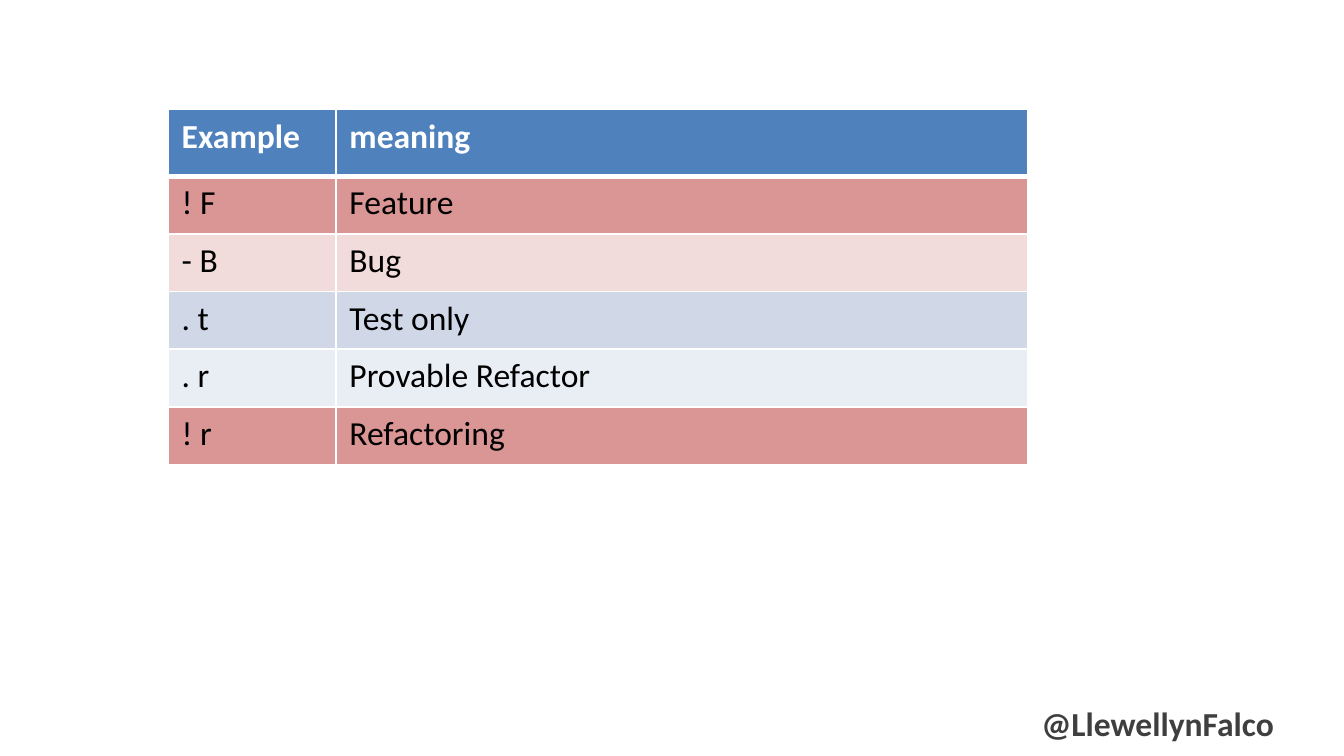
from lxml import etree
from pptx import Presentation
from pptx.dml.color import RGBColor
from pptx.enum import text
from pptx.oxml import ns
from pptx.util import Cm, Pt

FONT = "Calibri"
WHITE, BLACK, GREY = "FFFFFF", "000000", "3F3F3F"
BLUE, RED, PINK = "4F81BD", "D99694", "F2DCDB"
BLUE_TINT, PALE_BLUE = "D0D8E8", "E9EDF4"

# Example, meaning, row fill
NOTATION = [
    ("Example", "meaning", BLUE),
    ("! F", "Feature", RED),
    ("- B", "Bug", PINK),
    (". t", "Test only", BLUE_TINT),
    (". r", "Provable Refactor", PALE_BLUE),
    ("! r", "Refactoring", RED),
]
COLUMN_WIDTHS = [Cm(3.17), Cm(13.08)]
HEADER_HEIGHT, ROW_HEIGHT = Cm(1.26), Cm(1.09)


def rgb(value):
    return RGBColor.from_string(value)


def add_run(paragraph, words, color, bold=False):
    run = paragraph.add_run()
    run.text = words
    run.font.name = FONT
    run.font.size = Pt(18)
    run.font.bold = bold
    run.font.color.rgb = rgb(color)


def set_border(cell, side, points):
    properties = cell._tc.get_or_add_tcPr()
    line = etree.SubElement(properties, ns.qn(f"a:ln{side}"), w=str(Pt(points)))
    fill = etree.SubElement(line, ns.qn("a:solidFill"))
    etree.SubElement(fill, ns.qn("a:srgbClr"), val=WHITE)


def fill_cell(cell, words, fill, row):
    # Borders come first: the schema places them before the fill
    header = row == 0
    for side in "LRTB":
        below_header = (row, side) in [(0, "B"), (1, "T")]
        set_border(cell, side, 3 if below_header else 1)
    cell.fill.solid()
    cell.fill.fore_color.rgb = rgb(fill)
    add_run(cell.text_frame.paragraphs[0], words, WHITE if header else BLACK, header)


def add_notation_table(slide):
    height = HEADER_HEIGHT + ROW_HEIGHT * (len(NOTATION) - 1)
    table = slide.shapes.add_table(
        len(NOTATION), len(COLUMN_WIDTHS),
        Cm(3.18), Cm(2.07), sum(COLUMN_WIDTHS), height).table
    for column, width in zip(table.columns, COLUMN_WIDTHS):
        column.width = width
    for row, (example, meaning, fill) in enumerate(NOTATION):
        table.rows[row].height = ROW_HEIGHT if row else HEADER_HEIGHT
        for column, words in enumerate((example, meaning)):
            fill_cell(table.cell(row, column), words, fill, row)


def add_handle(slide, words):
    frame = slide.shapes.add_textbox(Cm(19.35), Cm(13.16), Cm(4.98), Cm(1.02)).text_frame
    frame.word_wrap = False
    frame.auto_size = text.MSO_AUTO_SIZE.SHAPE_TO_FIT_TEXT
    frame.paragraphs[0].alignment = text.PP_ALIGN.RIGHT
    add_run(frame.paragraphs[0], words, GREY, bold=True)


def main():
    deck = Presentation()
    deck.slide_width, deck.slide_height = Cm(25.4), Cm(14.29)
    slide = deck.slides.add_slide(deck.slide_layouts[6])  # blank: no title here

    # Author handle
    add_handle(slide, "@LlewellynFalco")

    # Commit notation
    add_notation_table(slide)

    deck.save("out.pptx")


if __name__ == "__main__":
    main()
